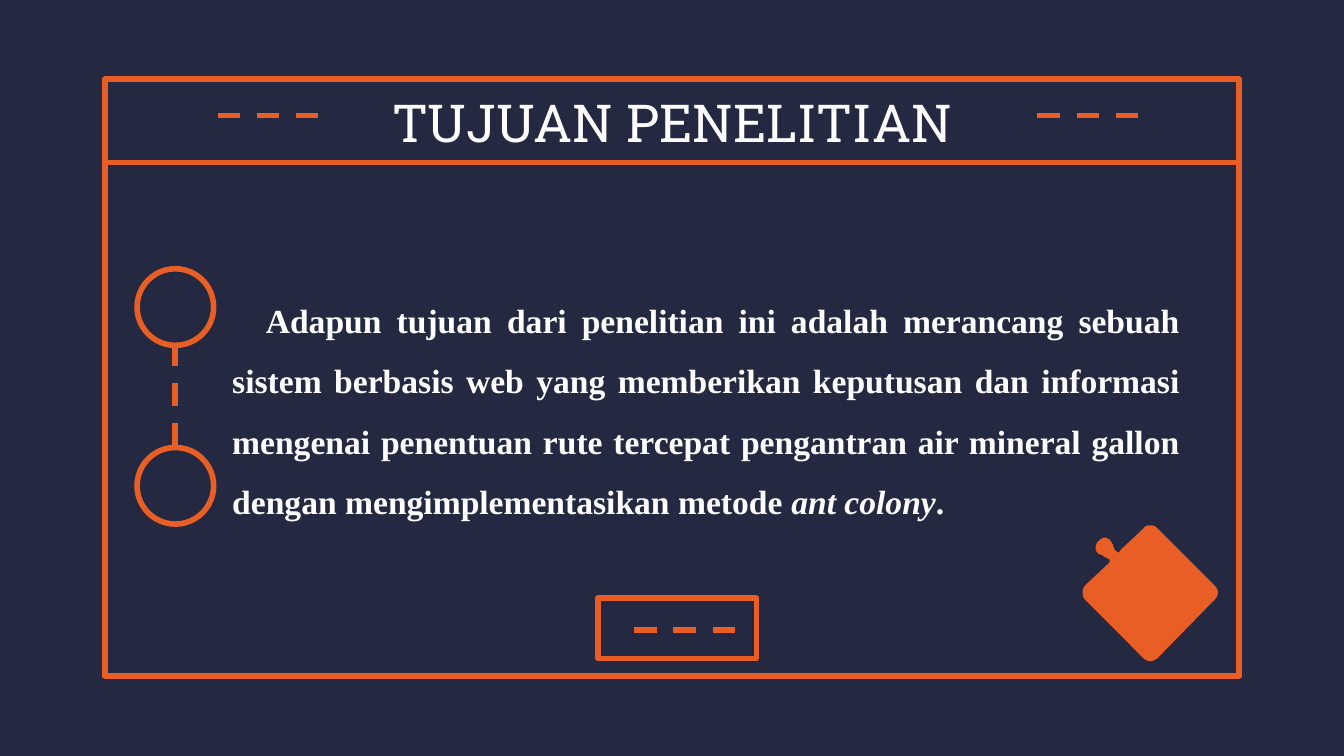
from typing import NamedTuple

from lxml import etree
from pptx import Presentation
from pptx.dml.color import RGBColor
from pptx.enum.dml import MSO_LINE
from pptx.enum.shapes import MSO_CONNECTOR, MSO_SHAPE
from pptx.enum.text import MSO_ANCHOR, PP_ALIGN
from pptx.oxml.ns import qn
from pptx.util import Inches, Pt

NAVY = RGBColor(0x24, 0x28, 0x41)
ORANGE = RGBColor(0xE9, 0x5E, 0x24)
WHITE = RGBColor(0xFF, 0xFF, 0xFF)
RECTANGLE, OVAL = MSO_SHAPE.RECTANGLE, MSO_SHAPE.OVAL
STRAIGHT = MSO_CONNECTOR.STRAIGHT
DASH = MSO_LINE.DASH
MIDDLE, BOTTOM = MSO_ANCHOR.MIDDLE, MSO_ANCHOR.BOTTOM
CENTER, JUSTIFY = PP_ALIGN.CENTER, PP_ALIGN.JUSTIFY
PAGE_WIDTH = Inches(10)
PAGE_HEIGHT = PAGE_WIDTH * 9 // 16
LINE_WIDTH = Pt(3)
CURVE_STEPS = 6


class Area(NamedTuple):
    left: float
    top: float
    width: float
    height: float


class Point(NamedTuple):
    x: float
    y: float


class Span(NamedTuple):
    text: str
    italic: bool = False


FRAME = Area(0.78, 0.59, 8.44, 4.44)
TITLE = Area(0.78, 0.59, 8.44, 0.63)
BODY = Area(1.38, 1.84, 7.5, 2.14)
BADGE = Area(4.45, 4.45, 1.18, 0.45)
CIRCLES = [Area(1.02, top, 0.57, 0.57) for top in (2, 3.33)]
DASHES = [
    (Point(1.3, 2.56), Point(1.3, 3.33)),
    (Point(8.47, 0.86), Point(7.66, 0.86)),
    (Point(2.37, 0.86), Point(1.56, 0.86)),
    (Point(5.47, 4.69), Point(4.66, 4.69)),
]
BODY_SPANS = [
    Span("Adapun tujuan dari penelitian ini adalah merancang sebuah sistem "
         "berbasis web yang memberikan keputusan dan informasi mengenai "
         "penentuan rute tercepat pengantran air mineral gallon dengan "
         "mengimplementasikan metode "),
    Span("ant colony", italic=True),
    Span("."),
]

# Puzzle piece: one point is a straight side, three points are a Bezier curve
PUZZLE_START = Point(8.56, 3.91)
PUZZLE_SIDES = [
    [(8.54, 3.91), (8.52, 3.91), (8.51, 3.93)],
    [(8.33, 4.1)],
    [(8.33, 4.11), (8.33, 4.11), (8.32, 4.11)],
    [(8.31, 4.11), (8.31, 4.1), (8.3, 4.1)],
    [(8.29, 4.08), (8.28, 4.06), (8.28, 4.05)],
    [(8.27, 4.04), (8.27, 4.03), (8.26, 4.02)],
    [(8.25, 4.01), (8.23, 4), (8.22, 4)],
    [(8.21, 4), (8.19, 4.01), (8.18, 4.02)],
    [(8.15, 4.04), (8.14, 4.09), (8.17, 4.12)],
    [(8.18, 4.12), (8.19, 4.13), (8.2, 4.13)],
    [(8.21, 4.14), (8.23, 4.15), (8.25, 4.16)],
    [(8.26, 4.16), (8.26, 4.18), (8.25, 4.19)],
    [(8.07, 4.36)],
    [(8.05, 4.39), (8.05, 4.43), (8.07, 4.46)],
    [(8.51, 4.9)],
    [(8.52, 4.91), (8.54, 4.92), (8.56, 4.92)],
    [(8.58, 4.92), (8.59, 4.91), (8.61, 4.9)],
    [(9.04, 4.46)],
    [(9.07, 4.43), (9.07, 4.39), (9.04, 4.36)],
    [(8.61, 3.93)],
    [(8.59, 3.91), (8.58, 3.91), (8.56, 3.91)],
]


def add_outline(page, kind, area: Area, fill: RGBColor | None = None) -> None:
    shape = page.shapes.add_shape(kind, *map(Inches, area))
    shape.shadow.inherit = False
    if fill is None:
        shape.fill.background()
    else:
        shape.fill.solid()
        shape.fill.fore_color.rgb = fill
    shape.line.color.rgb = ORANGE
    shape.line.width = LINE_WIDTH
    # Rounded corners of the outline
    etree.SubElement(shape.line._get_or_add_ln(), qn("a:round"))


def add_line(page, start: Point, end: Point, dashed: bool = False) -> None:
    connector = page.shapes.add_connector(STRAIGHT, *map(Inches, start + end))
    connector.line.color.rgb = ORANGE
    connector.line.width = LINE_WIDTH
    if dashed:
        connector.line.dash_style = DASH
    etree.SubElement(connector._element.spPr, qn("a:effectLst"))


def add_text(page, area: Area, spans: list[Span], font: str, size: int,
             bold: bool, anchor, alignment):
    box = page.shapes.add_textbox(*map(Inches, area))
    frame = box.text_frame
    frame.word_wrap = True
    frame.vertical_anchor = anchor
    frame.margin_left = frame.margin_right = Inches(0.1)
    frame.margin_top = frame.margin_bottom = Inches(0.1)
    paragraph = frame.paragraphs[0]
    paragraph.alignment = alignment
    for span in spans:
        run = paragraph.add_run()
        run.text = span.text
        run.font.name = font
        run.font.size = Pt(size)
        run.font.bold = bold
        run.font.italic = span.italic
        run.font.color.rgb = WHITE
    return paragraph


def curve_points(start: Point, first: Point, second: Point,
                 end: Point) -> list[Point]:
    points = []
    for step in range(1, CURVE_STEPS + 1):
        t = step / CURVE_STEPS
        weights = ((1 - t) ** 3, 3 * t * (1 - t) ** 2, 3 * t**2 * (1 - t), t**3)
        points.append(Point(*(
            sum(weight * value for weight, value in zip(weights, values))
            for values in zip(start, first, second, end))))
    return points


def add_puzzle_piece(page) -> None:
    outline = [PUZZLE_START]
    for side in PUZZLE_SIDES:
        corners = [Point(*corner) for corner in side]
        outline += corners if len(side) == 1 else curve_points(outline[-1], *corners)
    vertices = [(Inches(point.x), Inches(point.y)) for point in outline]
    builder = page.shapes.build_freeform(*vertices[0])
    builder.add_line_segments(vertices[1:], close=True)
    piece = builder.convert_to_shape()
    piece.shadow.inherit = False
    piece.fill.solid()
    piece.fill.fore_color.rgb = ORANGE
    piece.line.fill.background()


def main() -> None:
    deck = Presentation()
    deck.slide_width, deck.slide_height = PAGE_WIDTH, PAGE_HEIGHT
    page = deck.slides.add_slide(deck.slide_layouts[6])
    page.background.fill.solid()
    page.background.fill.fore_color.rgb = NAVY

    # Frame and title
    add_outline(page, RECTANGLE, FRAME)
    add_line(page, Point(0.8, 1.21), Point(9.2, 1.21))
    add_text(page, TITLE, [Span("TUJUAN PENELITIAN")], "Roboto Slab", 28,
             False, MIDDLE, CENTER)

    # Circles, badge and dashed lines
    for circle in CIRCLES:
        add_outline(page, OVAL, circle, NAVY)
    add_outline(page, RECTANGLE, BADGE)
    for start, end in DASHES:
        add_line(page, start, end, dashed=True)

    # Research aim
    aim = add_text(page, BODY, BODY_SPANS, "Times New Roman", 18, True,
                   BOTTOM, JUSTIFY)
    aim.line_spacing = 1.5
    aim.space_after = Pt(8)
    properties = aim._p.get_or_add_pPr()
    for name in ("marL", "indent"):
        properties.set(name, str(Inches(0.25)))

    add_puzzle_piece(page)
    deck.save("out.pptx")


if __name__ == "__main__":
    main()
